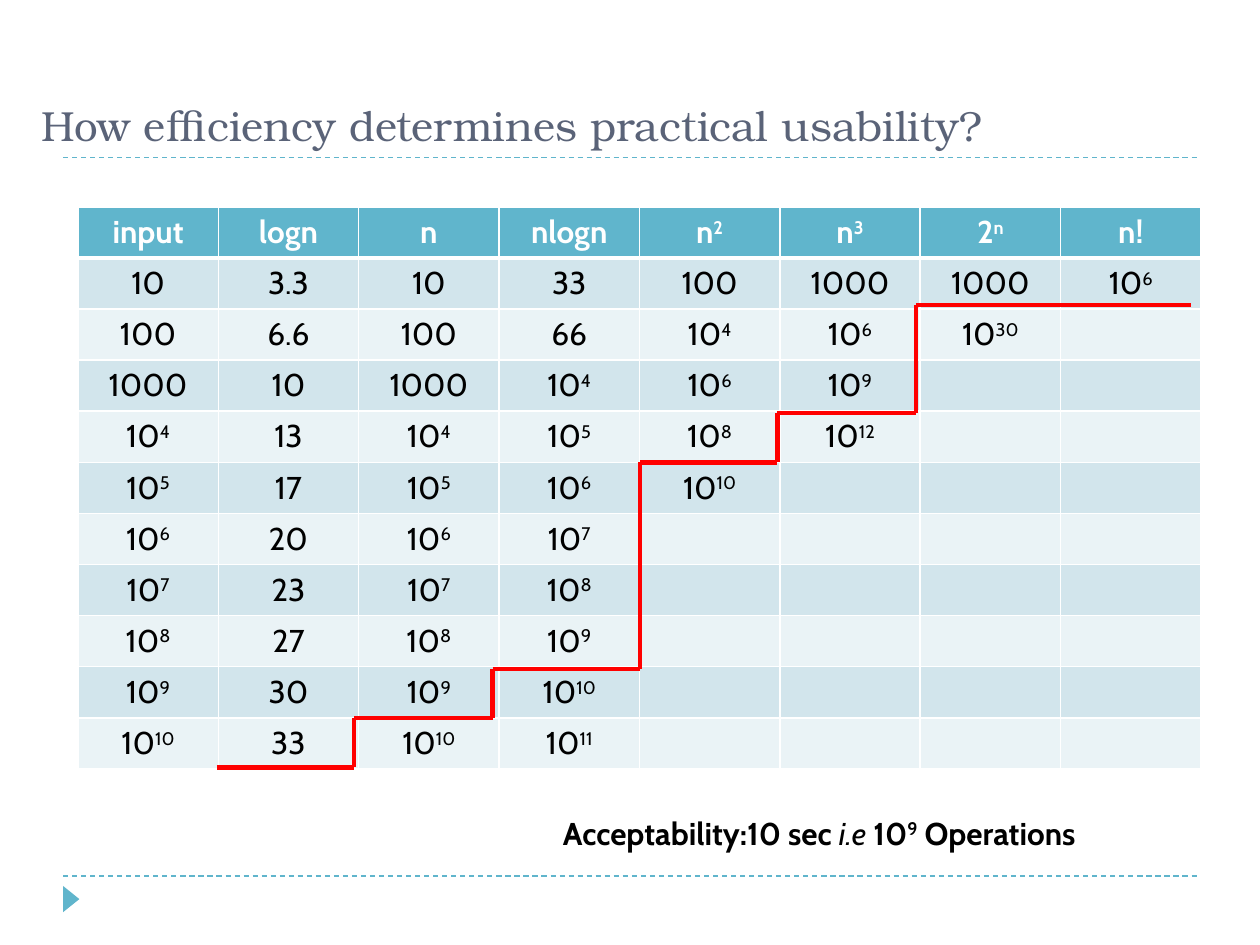
from itertools import pairwise

from lxml import etree
from pptx import Presentation
from pptx import util as u
from pptx.dml.color import RGBColor
from pptx.enum import dml, shapes, text
from pptx.oxml import ns

TEAL = RGBColor(0x60, 0xB5, 0xCC)
SLATE = RGBColor(0x5A, 0x63, 0x78)
BAND_DARK = RGBColor(0xD2, 0xE5, 0xEC)
BAND_LIGHT = RGBColor(0xEA, 0xF3, 0xF6)
RED = RGBColor(0xFF, 0x00, 0x00)
WHITE = RGBColor(0xFF, 0xFF, 0xFF)
BLACK = RGBColor(0x00, 0x00, 0x00)
HEADING_FONT = "TeX Gyre Bonum"
BODY_FONT = "Cabin"

COLUMN_WIDTH, ROW_HEIGHT = 2.83, 1.03
GROWTH = [
    "input logn n nlogn n^2 n^3 2^n n!",
    "10 3.3 10 33 100 1000 1000 10^6",
    "100 6.6 100 66 10^4 10^6 10^30",
    "1000 10 1000 10^4 10^6 10^9",
    "10^4 13 10^4 10^5 10^8 10^12",
    "10^5 17 10^5 10^6 10^10",
    "10^6 20 10^6 10^7",
    "10^7 23 10^7 10^8",
    "10^8 27 10^8 10^9",
    "10^9 30 10^9 10^10",
    "10^10 33 10^10 10^11",
]
# Left edge and height of each step, measured from the table's corner
STEPS = [(2.8, 11.3), (5.57, 10.31), (8.36, 9.32), (11.33, 5.15),
         (14.1, 4.16), (16.9, 1.98), (19.66, 1.98)]
STEPS_RIGHT = 22.43


def add_span(para, words, color, bold=False, italic=False, raised=False):
    span = para.add_run()
    span.text = words
    span.font.name = BODY_FONT
    span.font.size = u.Pt(18)
    span.font.bold = bold
    span.font.italic = italic
    span.font.color.rgb = color
    if raised:
        span.font._element.set("baseline", "30000")


def add_power(para, words, color, bold=False):
    """Write words such as 10^6 with the part after the caret raised."""
    base, _, exponent = words.partition("^")
    add_span(para, base, color, bold)
    if exponent:
        add_span(para, exponent, color, bold, raised=True)


def add_line(page, start, end, color, width, dashed=False):
    line = page.shapes.add_connector(
        shapes.MSO_CONNECTOR.STRAIGHT, *map(u.Cm, start + end))
    line.line.color.rgb = color
    line.line.width = u.Pt(width)
    if dashed:
        line.line.dash_style = dml.MSO_LINE.DASH
    etree.SubElement(line._element.spPr, ns.qn("a:effectLst"))


def add_frame(page, left, top, width, height):
    for y in (top, top + height):
        add_line(page, (left, y), (left + width, y), TEAL, 0.75, dashed=True)
    marker = page.shapes.add_shape(
        shapes.MSO_SHAPE.ISOSCELES_TRIANGLE, u.Cm(left - 0.1),
        u.Cm(top + height + 0.3), u.Cm(0.53), u.Cm(0.33))
    marker.rotation = 90
    marker.shadow.inherit = False
    marker.fill.solid()
    marker.fill.fore_color.rgb = TEAL
    marker.line.fill.background()


def add_text_box(page, left, top, width, height):
    box = page.shapes.add_textbox(*map(u.Cm, (left, top, width, height)))
    box.text_frame.word_wrap = True
    return box


def add_title(page, left, top, width, height):
    box = add_text_box(page, left, top, width, height)
    box.text_frame.vertical_anchor = text.MSO_ANCHOR.BOTTOM
    para = box.text_frame.paragraphs[0]
    para.text = "How efficiency determines practical usability?"
    font = para.runs[0].font
    font.name, font.size, font.color.rgb = HEADING_FONT, u.Pt(24), SLATE


def set_borders(cell, widths):
    """Draw white borders; widths maps a side (L, R, T, B) to points."""
    properties = cell._tc.get_or_add_tcPr()
    for side, points in widths.items():
        border = etree.SubElement(
            properties, ns.qn(f"a:ln{side}"), w=str(u.Pt(points)))
        fill = etree.SubElement(border, ns.qn("a:solidFill"))
        etree.SubElement(fill, ns.qn("a:srgbClr"), val=str(WHITE))


def add_growth_table(page, left, top):
    row_count, column_count = len(GROWTH), len(GROWTH[0].split())
    table = page.shapes.add_table(
        row_count, column_count, u.Cm(left), u.Cm(top),
        u.Cm(column_count * COLUMN_WIDTH), u.Cm(row_count * ROW_HEIGHT)).table
    table.horz_banding = False
    for column in table.columns:
        column.width = u.Cm(COLUMN_WIDTH)
    for index, (row, line) in enumerate(zip(table.rows, GROWTH)):
        row.height = u.Cm(ROW_HEIGHT)
        header = index == 0
        band = TEAL if header else BAND_DARK if index % 2 else BAND_LIGHT
        values = line.split()
        for place, cell in enumerate(row.cells):
            set_borders(cell, {"L": 1, "R": 1, "T": 3 if index == 1 else 1,
                               "B": 3 if header else 1})
            cell.fill.solid()
            cell.fill.fore_color.rgb = band
            if place < len(values):
                para = cell.text_frame.paragraphs[0]
                para.alignment = text.PP_ALIGN.CENTER
                add_power(para, values[place], WHITE if header else BLACK, header)


def add_limit_steps(page, left, top):
    """Draw the staircase that bounds the acceptable running times."""
    corners = [(left + x, top + y) for x, y in STEPS]
    corners.append((left + STEPS_RIGHT, corners[-1][1]))
    for (x, y), (next_x, next_y) in pairwise(corners):
        add_line(page, (x, y), (next_x, y), RED, 2.5)
        if next_y != y:
            add_line(page, (next_x, next_y), (next_x, y), RED, 2.5)


def add_caption(page, left, top, width, height):
    para = add_text_box(page, left, top, width, height).text_frame.paragraphs[0]
    add_span(para, "Acceptability:10 sec ", BLACK, bold=True)
    add_span(para, "i.e", BLACK, italic=True)
    add_power(para, " 10^9", BLACK, bold=True)
    add_span(para, " Operations", BLACK, bold=True)


def main():
    deck = Presentation()
    deck.slide_width, deck.slide_height = u.Cm(25.4), u.Cm(19.05)
    page = deck.slides.add_slide(deck.slide_layouts[6])
    add_frame(page, 1.27, 3.18, 22.86, 14.48)
    add_title(page, 0.58, 0.41, 20.45, 2.74)
    add_growth_table(page, 1.57, 4.17)
    add_limit_steps(page, 1.57, 4.17)
    add_caption(page, 11.1, 16.28, 12.12, 1.02)
    deck.save("out.pptx")


if __name__ == "__main__":
    main()
